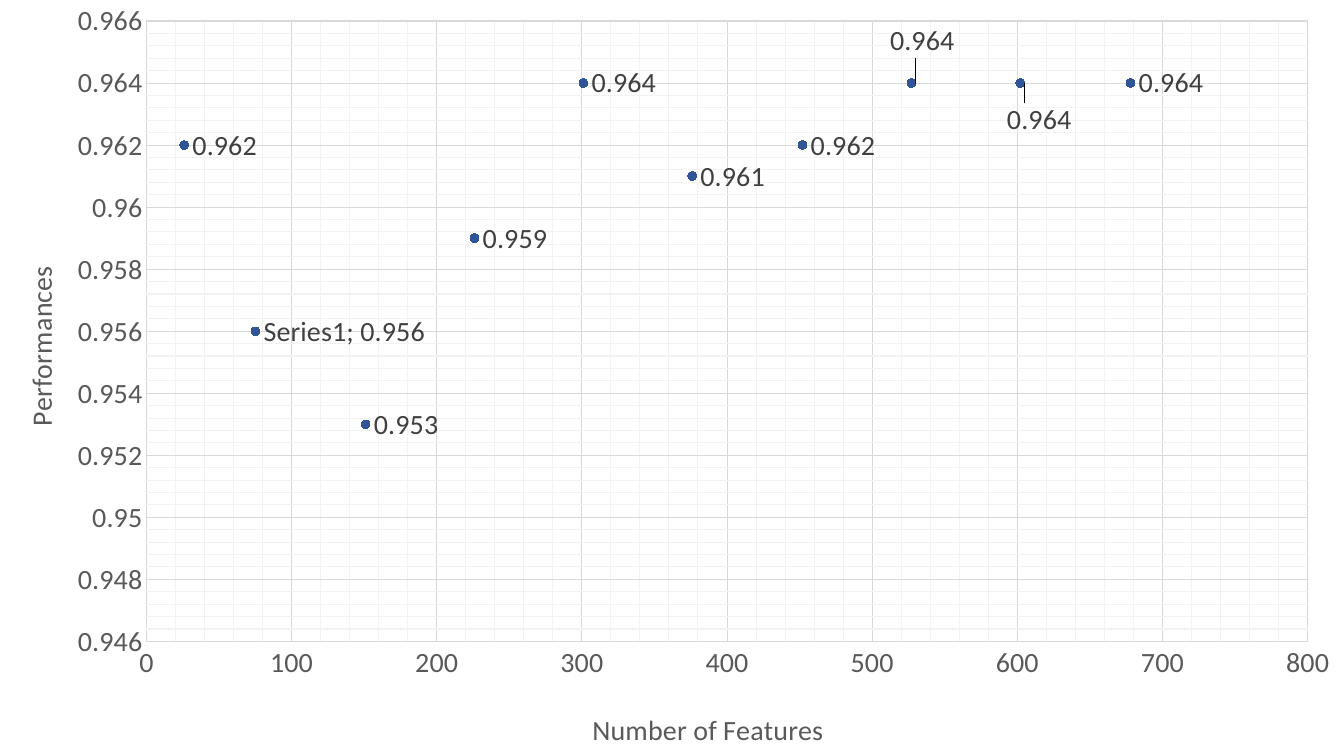
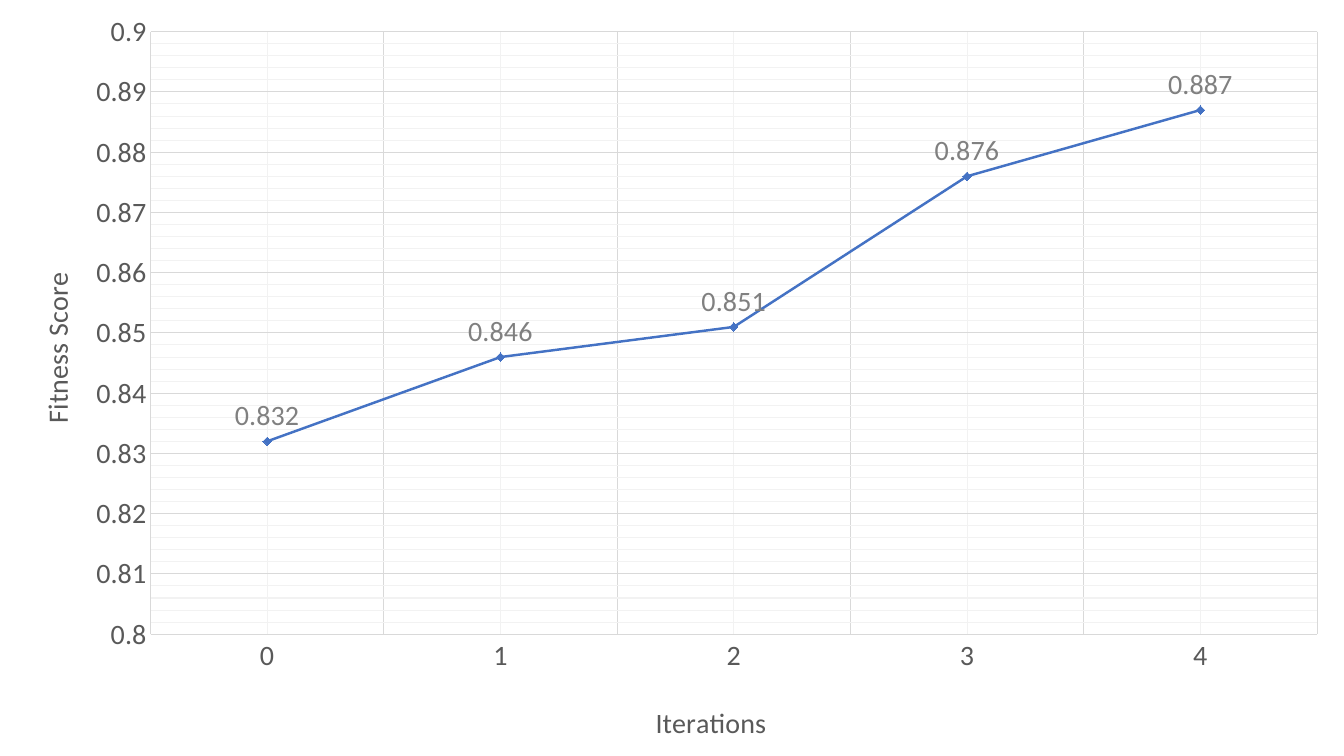
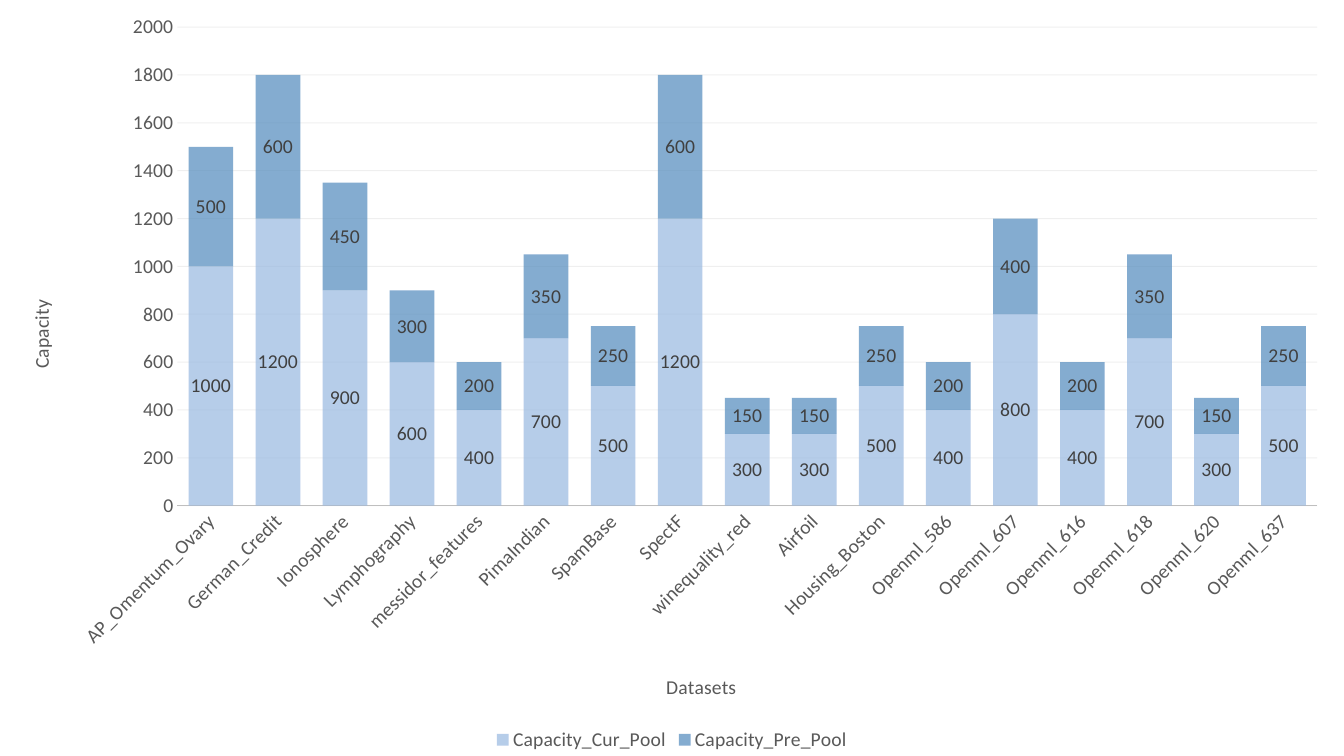
from dataclasses import dataclass

from pptx import Presentation
from pptx.chart.data import CategoryChartData, XyChartData
from pptx.dml.color import RGBColor
from pptx.enum.chart import XL_CHART_TYPE as ChartType
from pptx.enum.chart import XL_LABEL_POSITION as LabelPosition
from pptx.enum.chart import XL_LEGEND_POSITION as LegendPosition
from pptx.enum.chart import XL_MARKER_STYLE as MarkerStyle
from pptx.enum.chart import XL_TICK_MARK as TickMark
from pptx.oxml import parse_xml
from pptx.oxml.ns import nsdecls, qn
from pptx.util import Inches, Pt


@dataclass(frozen=True)
class Theme:
    font: str = "Calibri"
    large: int = 20
    small: int = 14
    hairline: float = 0.75
    trend: float = 1.75
    marker: int = 6
    axis_text: str = "595959"
    label_text: str = "404040"
    soft_text: str = "808080"
    grid: str = "D9D9D9"
    minor_grid: str = "F2F2F2"
    baseline: str = "BFBFBF"
    dot: str = "2F5597"
    line: str = "4472C4"
    highlight: str = "FF0000"
    current_pool: str = "98B8E0"
    previous_pool: str = "518ABD"


THEME = Theme()
SLIDE_WIDTH, SLIDE_HEIGHT = Inches(13.33), Inches(7.5)
FULL_SLIDE = (0, 0, 1, 1)

FEATURE_SCORES = [
    (75, 0.956), (151, 0.953), (226, 0.959), (301, 0.964), (376, 0.961),
    (452, 0.962), (527, 0.964), (602, 0.964), (678, 0.964), (26, 0.962),
]
NAMED_POINT, BOXED_POINT = 0, 9
LABEL_SHIFTS = {6: (-0.022, -0.056), 7: (-0.016, 0.049)}

FITNESS_SCORES = [0.832, 0.846, 0.851, 0.876, 0.887]

POOL_CAPACITIES = {
    "AP_Omentum_Ovary": (1000, 500),
    "German_Credit": (1200, 600),
    "Ionosphere": (900, 450),
    "Lymphography": (600, 300),
    "messidor_features": (400, 200),
    "PimaIndian": (700, 350),
    "SpamBase": (500, 250),
    "SpectF": (1200, 600),
    "winequality_red": (300, 150),
    "Airfoil": (300, 150),
    "Housing_Boston": (500, 250),
    "Openml_586": (400, 200),
    "Openml_607": (800, 400),
    "Openml_616": (400, 200),
    "Openml_618": (700, 350),
    "Openml_620": (300, 150),
    "Openml_637": (500, 250),
}


def rgb(colour):
    return RGBColor.from_string(colour)


def style_font(font, size, colour):
    font.name = THEME.font
    font.size = Pt(size)
    font.bold = False
    font.color.rgb = rgb(colour)


def style_line(line, colour, width=THEME.hairline):
    if colour is None:
        line.fill.background()
    else:
        line.color.rgb = rgb(colour)
        line.width = Pt(width)


def set_opacity(element, percent):
    for colour in element.iter(qn("a:srgbClr")):
        colour.append(parse_xml(f'<a:alpha {nsdecls("a")} val="{percent * 1000}"/>'))


def shape_properties(fill=None, line=None, width=THEME.hairline):
    def solid(colour):
        return f'<a:solidFill><a:srgbClr val="{colour}"/></a:solidFill>'

    fill_xml = solid(fill) if fill else ""
    line_xml = f'<a:ln w="{Pt(width)}">{solid(line)}</a:ln>' if line else ""
    return parse_xml(f'<c:spPr {nsdecls("c", "a")}>{fill_xml}{line_xml}</c:spPr>')


def set_layout(parent, index, settings):
    for layout in parent.findall(qn("c:layout")):
        parent.remove(layout)
    entries = "".join(f'<c:{name} val="{value}"/>' for name, value in settings.items())
    parent.insert(index, parse_xml(
        f'<c:layout {nsdecls("c")}><c:manualLayout>{entries}</c:manualLayout></c:layout>'))


def place_plot(chart, area):
    settings = {"layoutTarget": "inner", "xMode": "edge", "yMode": "edge"}
    settings.update(zip("xywh", area))
    set_layout(chart._chartSpace.chart.plotArea, 0, settings)


def style_axis(axis, title, position, size, line=None, limits=None, units=None,
               rotation=0, grid=True, minor_grid=True):
    frame = axis.axis_title.text_frame
    run = frame.paragraphs[0].add_run()
    run.text = title
    style_font(run.font, size, THEME.axis_text)
    frame._txBody.bodyPr.set("rot", str(rotation * 60000))
    frame._txBody.bodyPr.set("vert", "horz")
    set_layout(axis.axis_title._element, 1,
               {"xMode": "edge", "yMode": "edge", **dict(zip("xy", position))})

    style_font(axis.tick_labels.font, size, THEME.axis_text)
    axis.tick_labels.number_format = "General"
    axis.tick_labels.number_format_is_linked = False
    axis.major_tick_mark = axis.minor_tick_mark = TickMark.NONE
    style_line(axis.format.line, line)
    if limits:
        axis.minimum_scale, axis.maximum_scale = limits
    if units:
        axis.major_unit, axis.minor_unit = units
    axis.has_major_gridlines = grid
    if grid:
        style_line(axis.major_gridlines.format.line, THEME.grid)
    axis.has_minor_gridlines = minor_grid
    if minor_grid:
        axis._element.find(qn("c:minorGridlines")).append(
            shape_properties(line=THEME.minor_grid))


def add_chart(slide, box, kind, data, size, plot_area):
    left, top, width, height = box
    frame = slide.shapes.add_chart(
        kind, int(left * SLIDE_WIDTH), int(top * SLIDE_HEIGHT),
        int(width * SLIDE_WIDTH), int(height * SLIDE_HEIGHT), data)
    chart = frame.chart
    chart.has_title = False
    chart.has_legend = False
    chart.font.name = THEME.font
    chart.font.size = Pt(size)
    chart.plots[0].vary_by_categories = False
    place_plot(chart, plot_area)
    return chart


def style_marker(marker, style, colour):
    marker.style = style
    marker.size = THEME.marker
    marker.format.fill.solid()
    marker.format.fill.fore_color.rgb = rgb(colour)
    style_line(marker.format.line, colour)


def label_point(series, index):
    label = series.points[index].data_label
    style_font(label.font, THEME.large, THEME.label_text)
    label.position = LabelPosition.RIGHT
    element = label._get_or_add_dLbl()
    border = THEME.highlight if index == BOXED_POINT else None
    element.insert(1, shape_properties(THEME.grid, border, THEME.trend))
    if index in LABEL_SHIFTS:
        set_layout(element, 1, dict(zip("xy", LABEL_SHIFTS[index])))
    if index == NAMED_POINT:
        element.find(qn("c:showSerName")).set("val", "1")
        element.append(parse_xml(f'<c:separator {nsdecls("c")}>; </c:separator>'))


def label_series(series, size, colour, position):
    labels = series.data_labels
    labels.show_value = True
    labels.position = position
    style_font(labels.font, size, colour)


def add_feature_scatter(slide, box):
    data = XyChartData()
    points = data.add_series("Series1")
    for features, score in FEATURE_SCORES:
        points.add_data_point(features, score)
    chart = add_chart(slide, box, ChartType.XY_SCATTER, data, THEME.large,
                      (0.109, 0.028, 0.864, 0.825))
    style_axis(chart.category_axis, "Number of Features", (0.437, 0.937), THEME.large,
               limits=(0, 800), units=(100, 20))
    style_axis(chart.value_axis, "Performances", (0.012, 0.348), THEME.large,
               limits=(0.946, 0.966), units=(0.002, 0.0004), rotation=-90)
    series = chart.plots[0].series[0]
    style_line(series.format.line, None)
    style_marker(series.marker, MarkerStyle.CIRCLE, THEME.dot)
    for index in range(len(FEATURE_SCORES)):
        label_point(series, index)


def add_fitness_line(slide, box):
    data = CategoryChartData()
    data.categories = [str(iteration) for iteration in range(len(FITNESS_SCORES))]
    data.add_series("Series 1", FITNESS_SCORES)
    chart = add_chart(slide, box, ChartType.LINE_MARKERS, data, THEME.large,
                      (0.112, 0.042, 0.868, 0.797))
    style_axis(chart.category_axis, "Iterations", (0.484, 0.923), THEME.large,
               line=THEME.grid)
    style_axis(chart.value_axis, "Fitness Score", (0.024, 0.354), THEME.large,
               line=THEME.grid, limits=(0.8, 0.9), units=(0.01, 0.002), rotation=-90)
    series = chart.plots[0].series[0]
    series.smooth = False
    style_line(series.format.line, THEME.line, THEME.trend)
    style_marker(series.marker, MarkerStyle.DIAMOND, THEME.line)
    label_series(series, THEME.large, THEME.soft_text, LabelPosition.ABOVE)


def add_capacity_columns(slide, box):
    current, previous = zip(*POOL_CAPACITIES.values())
    data = CategoryChartData()
    data.categories = list(POOL_CAPACITIES)
    data.add_series("Capacity_Cur_Pool", current)
    data.add_series("Capacity_Pre_Pool", previous)
    chart = add_chart(slide, box, ChartType.COLUMN_STACKED, data, THEME.small,
                      (0.132, 0.036, 0.848, 0.633))
    style_axis(chart.category_axis, "Datasets", (0.493, 0.886), THEME.small,
               line=THEME.baseline, grid=False, minor_grid=False)
    style_axis(chart.value_axis, "Capacity", (0.018, 0.392), THEME.small,
               limits=(0, 2000), units=(200, 40), rotation=-90, minor_grid=False)
    slanted = chart.category_axis._element.find(qn("c:txPr")).find(qn("a:bodyPr"))
    slanted.set("rot", str(-45 * 60000))
    slanted.set("vert", "horz")
    set_opacity(chart.value_axis._element.find(qn("c:majorGridlines")), 40)

    plot = chart.plots[0]
    plot.gap_width = 50
    plot.overlap = 100
    for series, colour in zip(plot.series, (THEME.current_pool, THEME.previous_pool)):
        series.format.fill.solid()
        series.format.fill.fore_color.rgb = rgb(colour)
        set_opacity(series._element.find(qn("c:spPr")), 70)
        label_series(series, THEME.small, THEME.label_text, LabelPosition.CENTER)

    chart.has_legend = True
    chart.legend.position = LegendPosition.BOTTOM
    chart.legend.include_in_layout = False
    style_font(chart.legend.font, THEME.small, THEME.axis_text)


presentation = Presentation()
presentation.slide_width, presentation.slide_height = SLIDE_WIDTH, SLIDE_HEIGHT
blank_layout = presentation.slide_layouts[6]
for add_content in (add_feature_scatter, add_fitness_line, add_capacity_columns):
    add_content(presentation.slides.add_slide(blank_layout), FULL_SLIDE)
presentation.save("out.pptx")
